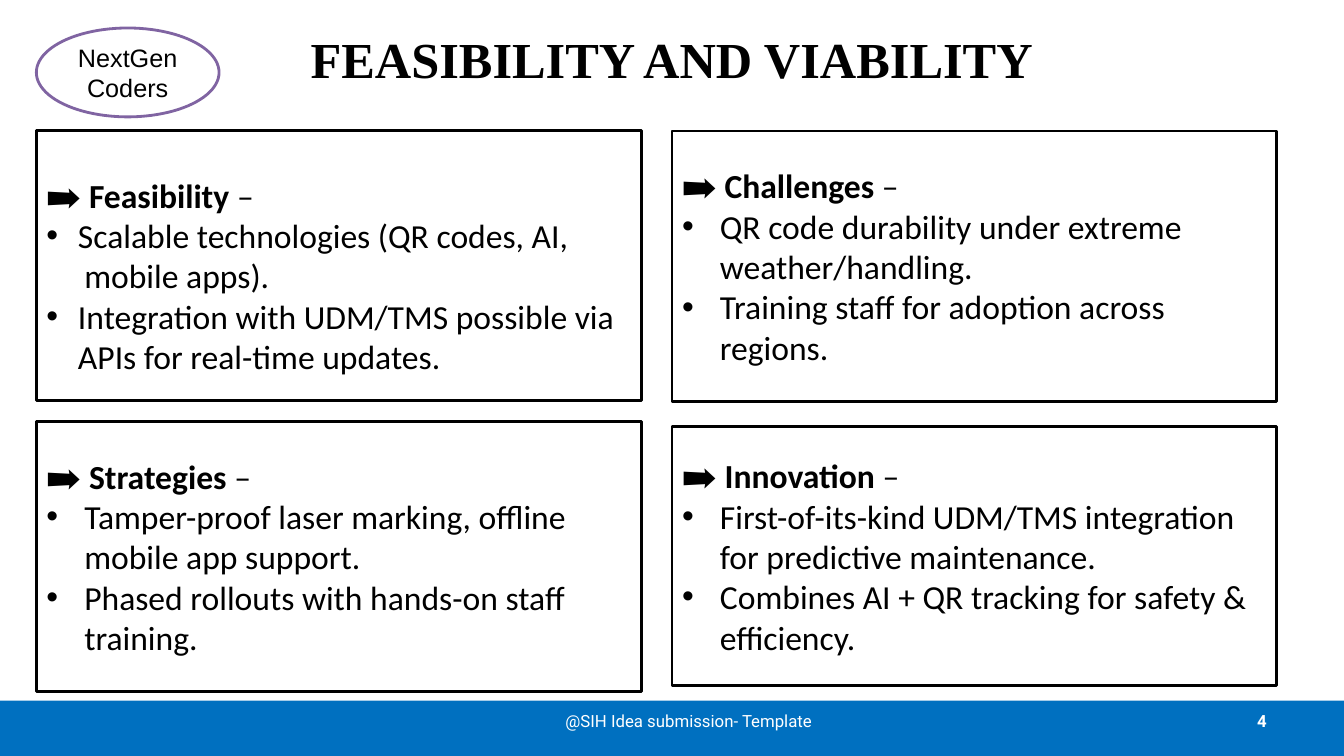
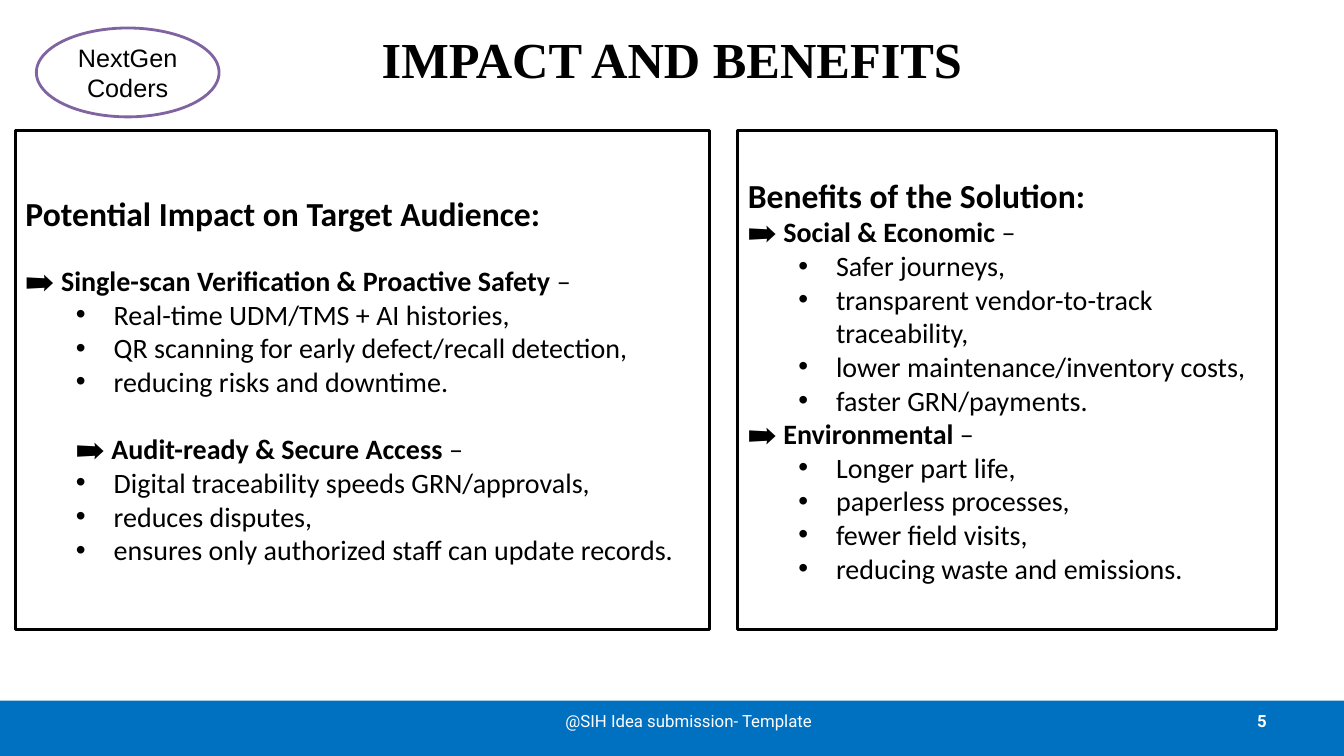
import lxml.etree
import pptx
import pptx.dml.color
import pptx.enum.shapes
import pptx.enum.text
import pptx.oxml.ns
import pptx.util

Pt = pptx.util.Pt
ALIGN = pptx.enum.text.PP_ALIGN
MIDDLE = pptx.enum.text.MSO_ANCHOR.MIDDLE
SHAPE = pptx.enum.shapes.MSO_SHAPE

BLACK = pptx.dml.color.RGBColor(0x00, 0x00, 0x00)
WHITE = pptx.dml.color.RGBColor(0xFF, 0xFF, 0xFF)
FOOTER_BLUE = pptx.dml.color.RGBColor(0x00, 0x70, 0xC0)
BADGE_PURPLE = pptx.dml.color.RGBColor(0x80, 0x64, 0xA2)

TITLE_FONT = "Times New Roman"
BODY_FONT = "Calibri"
FOOTER_FONT = "Roboto"
BADGE_FONT = "Arial"

SLIDE_WIDTH, SLIDE_HEIGHT = 960, 540
FOOTER_TOP = 500.4
TWO_CONTENT, COMPARISON = 3, 4
LARGE, MEDIUM = 24, 20
HANGING = 27
NESTED = 63


def place(shape, left, top, width, height):
    shape.left, shape.top = Pt(left), Pt(top)
    shape.width, shape.height = Pt(width), Pt(height)


def format_span(span, font, size, color=BLACK, bold=False):
    span.font.name = font
    span.font.size = Pt(size)
    span.font.color.rgb = color
    span.font.bold = bold


def set_text(shape, text, align, font, size, color=BLACK, bold=False):
    """Fill a shape with one vertically centred paragraph."""
    frame = shape.text_frame
    frame.text = text
    frame.word_wrap = True
    frame.vertical_anchor = MIDDLE
    para = frame.paragraphs[0]
    para.alignment = align
    format_span(para.runs[0], font, size, color, bold)


def add_filled_shape(slide, kind, bounds, fill, line=None):
    shape = slide.shapes.add_shape(kind, *map(Pt, bounds))
    shape.shadow.inherit = False
    shape.fill.solid()
    shape.fill.fore_color.rgb = fill
    if line is None:
        shape.line.fill.background()
    else:
        shape.line.color.rgb = line
        shape.line.width = Pt(2)
    return shape


def add_footer_text(slide, left, width, text, align, bold=False):
    box = slide.shapes.add_textbox(Pt(left), Pt(FOOTER_TOP), Pt(width), Pt(28.8))
    set_text(box, text, align, FOOTER_FONT, 12, WHITE, bold)


def add_framed_slide(deck, layout, title, number):
    """Add a slide with the shared title, team badge and footer."""
    slide = deck.slides.add_slide(deck.slide_layouts[layout])
    place(slide.shapes.title, 48, -3.6, 864, 90)
    set_text(slide.shapes.title, title, ALIGN.CENTER, TITLE_FONT, 36, bold=True)
    add_filled_shape(
        slide, SHAPE.RECTANGLE,
        (0, FOOTER_TOP, SLIDE_WIDTH, SLIDE_HEIGHT - FOOTER_TOP), FOOTER_BLUE)
    add_footer_text(slide, 688, 224, str(number), ALIGN.RIGHT, bold=True)
    add_footer_text(slide, 366, 252, "@SIH Idea submission- Template", ALIGN.CENTER)
    badge = add_filled_shape(
        slide, SHAPE.OVAL, (26, 20, 130.5, 63.5), WHITE, BADGE_PURPLE)
    set_text(badge, "NextGen Coders", ALIGN.CENTER, BADGE_FONT, 18)
    return slide


def prepare_panel(panel, bounds):
    """Turn a body placeholder into a bordered panel."""
    place(panel, *bounds)
    panel.fill.solid()
    panel.fill.fore_color.rgb = WHITE
    panel.line.color.rgb = BLACK
    panel.line.width = Pt(2)
    panel.text_frame.word_wrap = True
    panel.text_frame.auto_size = pptx.enum.text.MSO_AUTO_SIZE.NONE
    panel.text_frame.vertical_anchor = MIDDLE


def add_paragraph(panel, margin=0, hanging=0, before=0, spacing=1.0):
    """Add a paragraph, bulleted when it has a hanging indent."""
    frame = panel.text_frame
    para = frame.add_paragraph() if frame.text else frame.paragraphs[0]
    para.alignment = ALIGN.LEFT
    para.line_spacing = spacing
    para.space_before, para.space_after = Pt(before), Pt(0)
    properties = para._p.get_or_add_pPr()
    properties.set("marL", str(int(Pt(margin))))
    properties.set("indent", str(int(Pt(-hanging))))
    qn = pptx.oxml.ns.qn
    if hanging:
        lxml.etree.SubElement(properties, qn("a:buFont"), typeface="Arial")
        lxml.etree.SubElement(properties, qn("a:buChar"), char="•")
    else:
        lxml.etree.SubElement(properties, qn("a:buNone"))
    return para


def add_spans(para, size, *spans):
    for text, bold in spans:
        span = para.add_run()
        span.text = text
        format_span(span, BODY_FONT, size, bold=bold)


def add_heading(panel, text, size, **layout):
    add_spans(add_paragraph(panel, **layout), size,
              ("➡️ ", False), (text, True), (" –", False))


def add_bullets(panel, texts, size, margin=HANGING, hanging=HANGING):
    for text in texts:
        add_spans(add_paragraph(panel, margin, hanging), size, (text, False))


def build_feasibility(deck):
    slide = add_framed_slide(deck, COMPARISON, "FEASIBILITY AND VIABILITY", 4)
    feasibility, strategies, challenges, innovation = list(slide.placeholders)[1:]
    left, right, width, height = 26, 480, 432, 193

    prepare_panel(feasibility, (left, 93, width, height))
    add_heading(feasibility, "Feasibility", LARGE, spacing=1.5)
    add_bullets(feasibility, ["Scalable technologies (QR codes, AI,"],
                LARGE, 22.5, 22.5)
    add_bullets(feasibility, ["mobile apps)."], LARGE, HANGING, 0)
    add_bullets(feasibility, [
        "Integration with UDM/TMS possible via APIs for real-time updates.",
    ], LARGE, 22.5, 22.5)

    plain_panels = [
        (strategies, (left, 301, width, height), "Strategies", [
            "Tamper-proof laser marking, offline mobile app support.",
            "Phased rollouts with hands-on staff training."]),
        (challenges, (right, 93.6, width, height), "Challenges", [
            "QR code durability under extreme weather/handling.",
            "Training staff for adoption across regions."]),
        (innovation, (right, 304.6, width, 185), "Innovation", [
            "First-of-its-kind UDM/TMS integration for predictive maintenance.",
            "Combines AI + QR tracking for safety & efficiency."]),
    ]
    for panel, bounds, heading, texts in plain_panels:
        prepare_panel(panel, bounds)
        add_heading(panel, heading, LARGE)
        add_bullets(panel, texts, LARGE)


def build_impact(deck):
    slide = add_framed_slide(deck, TWO_CONTENT, "IMPACT AND BENEFITS", 5)
    impact, benefits = list(slide.placeholders)[1:]
    panels = [
        (impact, (11, 93, 496, 356.4), "Potential Impact on Target Audience:", [
            ("Single-scan Verification & Proactive Safety", {"before": 21.6}, [
                "Real-time UDM/TMS + AI histories,",
                "QR scanning for early defect/recall detection,",
                "reducing risks and downtime."]),
            ("Audit-ready & Secure Access", {"before": 24, "margin": 36}, [
                "Digital traceability speeds GRN/approvals,",
                "reduces disputes,",
                "ensures only authorized staff can update records."]),
        ]),
        (benefits, (527, 93, 385, 356.4), "Benefits of the Solution:", [
            ("Social & Economic", {}, [
                "Safer journeys,",
                "transparent vendor-to-track traceability,",
                "lower maintenance/inventory costs,",
                "faster GRN/payments."]),
            ("Environmental", {}, [
                "Longer part life,",
                "paperless processes,",
                "fewer field visits,",
                "reducing waste and emissions."]),
        ]),
    ]
    for panel, bounds, caption, sections in panels:
        prepare_panel(panel, bounds)
        add_spans(add_paragraph(panel), LARGE, (caption, True))
        for heading, layout, texts in sections:
            add_heading(panel, heading, MEDIUM, **layout)
            add_bullets(panel, texts, MEDIUM, NESTED)


def main():
    deck = pptx.Presentation()
    deck.slide_width, deck.slide_height = Pt(SLIDE_WIDTH), Pt(SLIDE_HEIGHT)
    build_feasibility(deck)
    build_impact(deck)
    deck.save("out.pptx")


if __name__ == "__main__":
    main()
